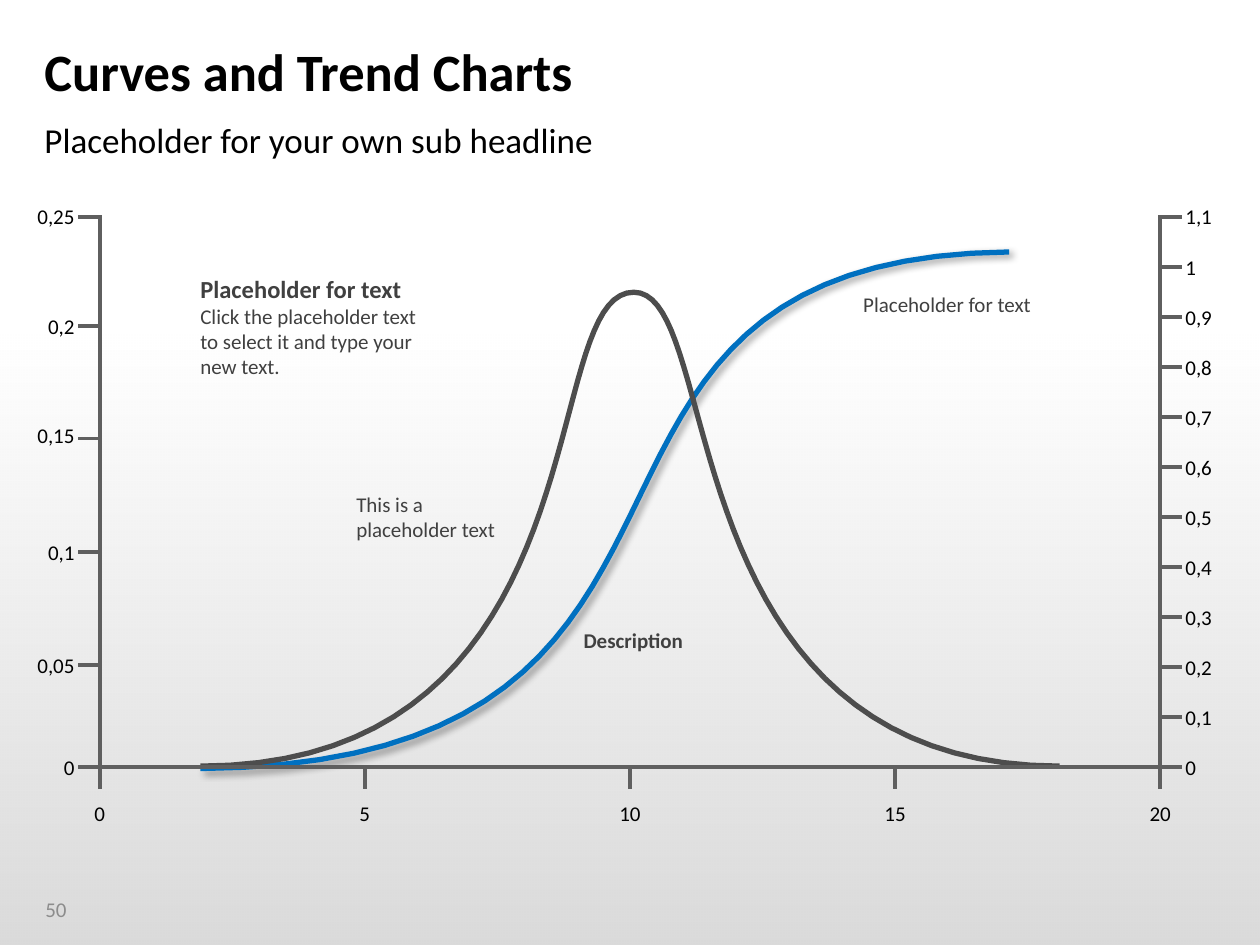
from dataclasses import dataclass

from lxml import etree
from pptx import Presentation
from pptx import util as u
from pptx.dml.color import RGBColor
from pptx.enum import shapes, text
from pptx.oxml import ns

Pt = u.Pt
ALIGN = text.PP_ALIGN


@dataclass(frozen=True)
class Theme:
    font: str = "Calibri"
    black: str = "000000"
    white: str = "FFFFFF"
    body: str = "404040"
    muted: str = "8C8C8C"
    axis: str = "5F5F5F"
    bell: str = "4D4D4D"
    growth: str = "0070C0"
    title_size: float = 30
    subtitle_size: float = 20
    heading_size: float = 14
    text_size: float = 12
    axis_width: float = 2.25
    curve_width: float = 3


THEME = Theme()

# Plot area and label sizes
LEFT, RIGHT, TOP, BOTTOM = 57, 663, 123.8, 438.5
TICK = 12.3
LABEL_WIDTH, LABEL_HEIGHT = 36, 14.4

# Left scale: label, tick height, label centre
LEFT_SCALE = [
    ("0,25", TOP, TOP), ("0,2", 186.5, 186.5), ("0,15", 250.6, 248.4),
    ("0,1", 315.4, 315.4), ("0,05", 380.2, 380.2), ("0", BOTTOM, BOTTOM),
]
RIGHT_LABELS = ["1,1", "1", "0,9", "0,8", "0,7", "0,6", "0,5", "0,4", "0,3", "0,2", "0,1", "0"]
BOTTOM_LABELS = ["0", "5", "10", "15", "20"]

# Curves: a start point, then two control points and an end point per segment
GROWTH_CURVE = [(114.5, 439.2), (455, 437), (278.6, 146.9), (576.7, 144)]
BELL_CURVE = [(114.5, 437.8), (349.2, 437.8), (305.3, 167), (362.2, 167),
              (414.7, 167), (380.2, 437.8), (605.5, 437.8)]


def color(value):
    return RGBColor.from_string(value)


def add_effect(parent, tag, **attributes):
    return etree.SubElement(parent, ns.qn(tag), attributes)


def add_text(page, at, lines, size=THEME.text_size, ink=THEME.black, bold=False,
             align=ALIGN.LEFT, anchor=text.MSO_ANCHOR.MIDDLE, spacing=None):
    """Lines are strings, or (string, size, bold), split by line breaks."""
    box = page.shapes.add_textbox(*map(Pt, at))
    frame = box.text_frame
    frame.word_wrap = True
    frame.vertical_anchor = anchor
    frame.margin_left = frame.margin_right = frame.margin_top = frame.margin_bottom = 0
    para = frame.paragraphs[0]
    para.alignment = align
    para.line_spacing = spacing
    para.font.name, para.font.size, para.font.bold = THEME.font, Pt(size), bold
    para.font.color.rgb = color(ink)
    for index, line in enumerate(lines):
        if index:
            para.add_line_break()
        span = para.add_run()
        if isinstance(line, str):
            span.text = line
        else:
            span.text, points, span.font.bold = line
            span.font.size = Pt(points)


def add_label(page, left, middle, label, align):
    at = (left, middle - LABEL_HEIGHT / 2, LABEL_WIDTH, LABEL_HEIGHT)
    add_text(page, at, [label], align=align)


def add_line(page, *ends):
    line = page.shapes.add_connector(shapes.MSO_CONNECTOR.STRAIGHT, *map(Pt, ends))
    line.line.color.rgb = color(THEME.axis)
    line.line.width = Pt(THEME.axis_width)
    add_effect(line._element.spPr, "a:effectLst")


def bezier_points(points, steps=40):
    """Points along a chain of cubic curves."""
    for first in range(0, len(points) - 1, 3):
        segment = points[first:first + 4]
        for step in range(1, steps + 1):
            t = step / steps
            weights = ((1 - t) ** 3, 3 * t * (1 - t) ** 2, 3 * t * t * (1 - t), t ** 3)
            yield tuple(Pt(sum(w * p[axis] for w, p in zip(weights, segment)))
                        for axis in (0, 1))


def add_curve(page, points, ink, shadow=False):
    builder = page.shapes.build_freeform(*map(Pt, points[0]))
    builder.add_line_segments(bezier_points(points), close=False)
    curve = builder.convert_to_shape()
    curve.fill.background()
    curve.line.color.rgb = color(ink)
    curve.line.width = Pt(THEME.curve_width)
    curve.shadow.inherit = False
    if shadow:
        effects = curve._element.spPr.find(ns.qn("a:effectLst"))
        outer = add_effect(effects, "a:outerShdw", blurRad=str(Pt(4)), dist=str(Pt(3)),
                           dir="2700000", algn="tl", rotWithShape="0")
        shade = add_effect(outer, "a:srgbClr", val=THEME.black)
        add_effect(shade, "a:alpha", val="40000")


def add_backdrop(page):
    page.background.fill.solid()
    page.background.fill.fore_color.rgb = color(THEME.white)
    shade = page.shapes.add_shape(shapes.MSO_SHAPE.RECTANGLE, 0, Pt(186.5), Pt(720), Pt(353.5))
    shade.shadow.inherit = False
    shade.line.fill.background()
    shade.fill.gradient()
    shade.fill.gradient_angle = 270
    for stop, alpha in zip(shade.fill.gradient_stops, ("0", "15000")):
        stop.color.rgb = color(THEME.black)
    for node, alpha in zip(shade._element.spPr.iter(ns.qn("a:srgbClr")), ("0", "15000")):
        add_effect(node, "a:alpha", val=alpha)


def add_axes(page):
    axis_top, axis_end = TOP - 1.2, BOTTOM + TICK
    # Left scale
    add_line(page, LEFT, axis_end, LEFT, axis_top)
    for label, tick, middle in LEFT_SCALE:
        if tick != BOTTOM:
            add_line(page, LEFT - TICK, tick, LEFT, tick)
        add_label(page, 6.6, middle, label, ALIGN.RIGHT)
    # Bottom scale
    add_line(page, LEFT - TICK, BOTTOM, RIGHT + TICK, BOTTOM)
    gap = (RIGHT - LEFT) / (len(BOTTOM_LABELS) - 1)
    for index, label in enumerate(BOTTOM_LABELS):
        x = LEFT + index * gap
        if LEFT < x < RIGHT:
            add_line(page, x, BOTTOM, x, axis_end)
        add_label(page, x - LABEL_WIDTH / 2, 464.5, label, ALIGN.CENTER)
    # Right scale
    add_line(page, RIGHT, axis_end, RIGHT, axis_top)
    gap = (BOTTOM - TOP) / (len(RIGHT_LABELS) - 1)
    for index, label in enumerate(RIGHT_LABELS):
        y = TOP + index * gap
        if index < len(RIGHT_LABELS) - 1:
            add_line(page, RIGHT, y, RIGHT + TICK, y)
        add_label(page, 677.4, y, label, ALIGN.LEFT)


def add_notes_on_plot(page):
    heading = ("Placeholder for text", THEME.heading_size, True)
    add_text(page, (114.5, 156.4, 136, 60.5),
             [heading, "Click the placeholder text to select it and type your new text."],
             ink=THEME.body)
    add_text(page, (203.6, 281, 88.6, 28.8), ["This is a placeholder text"], ink=THEME.body)
    add_text(page, (493.3, 166.7, 116, 14.4), ["Placeholder for text"], ink=THEME.body)
    add_text(page, (333.5, 358.8, 88.6, 14.4), ["Description"], ink=THEME.body, bold=True)


def main():
    deck = Presentation()
    deck.slide_width, deck.slide_height = Pt(720), Pt(540)
    page = deck.slides.add_slide(deck.slide_layouts[6])

    # Background and page number
    add_backdrop(page)
    add_text(page, (25.9, 505.4, 38.9, 28.8), ["50"], ink=THEME.muted)

    # Headlines
    add_text(page, (25.4, 18.7, 669, 48.2), ["Curves and Trend Charts"],
             size=THEME.title_size, bold=True, spacing=0.9)
    add_text(page, (25.4, 67.7, 669, 26.6), ["Placeholder for your own sub headline"],
             size=THEME.subtitle_size, anchor=text.MSO_ANCHOR.TOP)

    # Diagram
    add_curve(page, GROWTH_CURVE, THEME.growth, shadow=True)
    add_curve(page, BELL_CURVE, THEME.bell)
    add_axes(page)
    add_notes_on_plot(page)

    deck.save("out.pptx")


if __name__ == "__main__":
    main()
